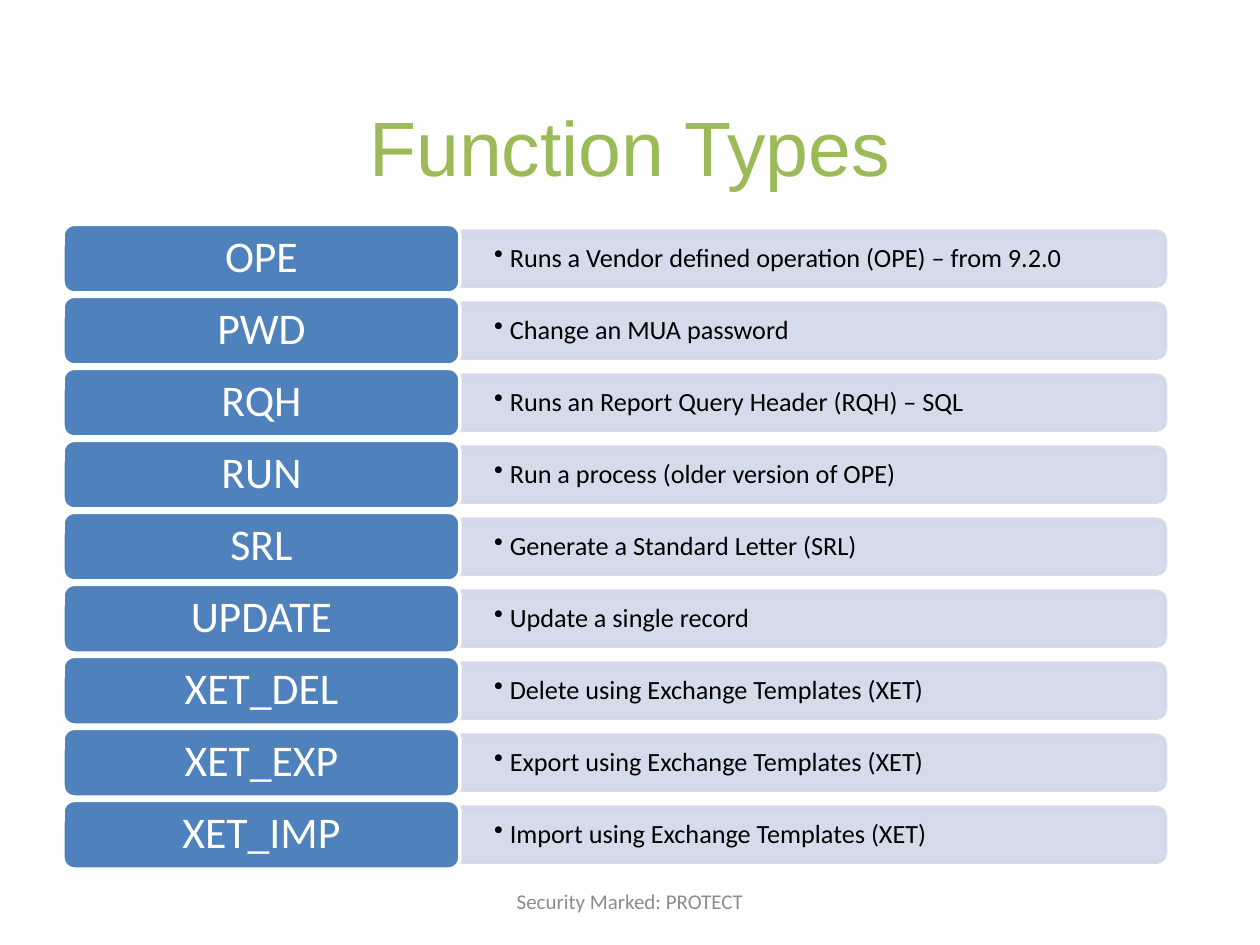
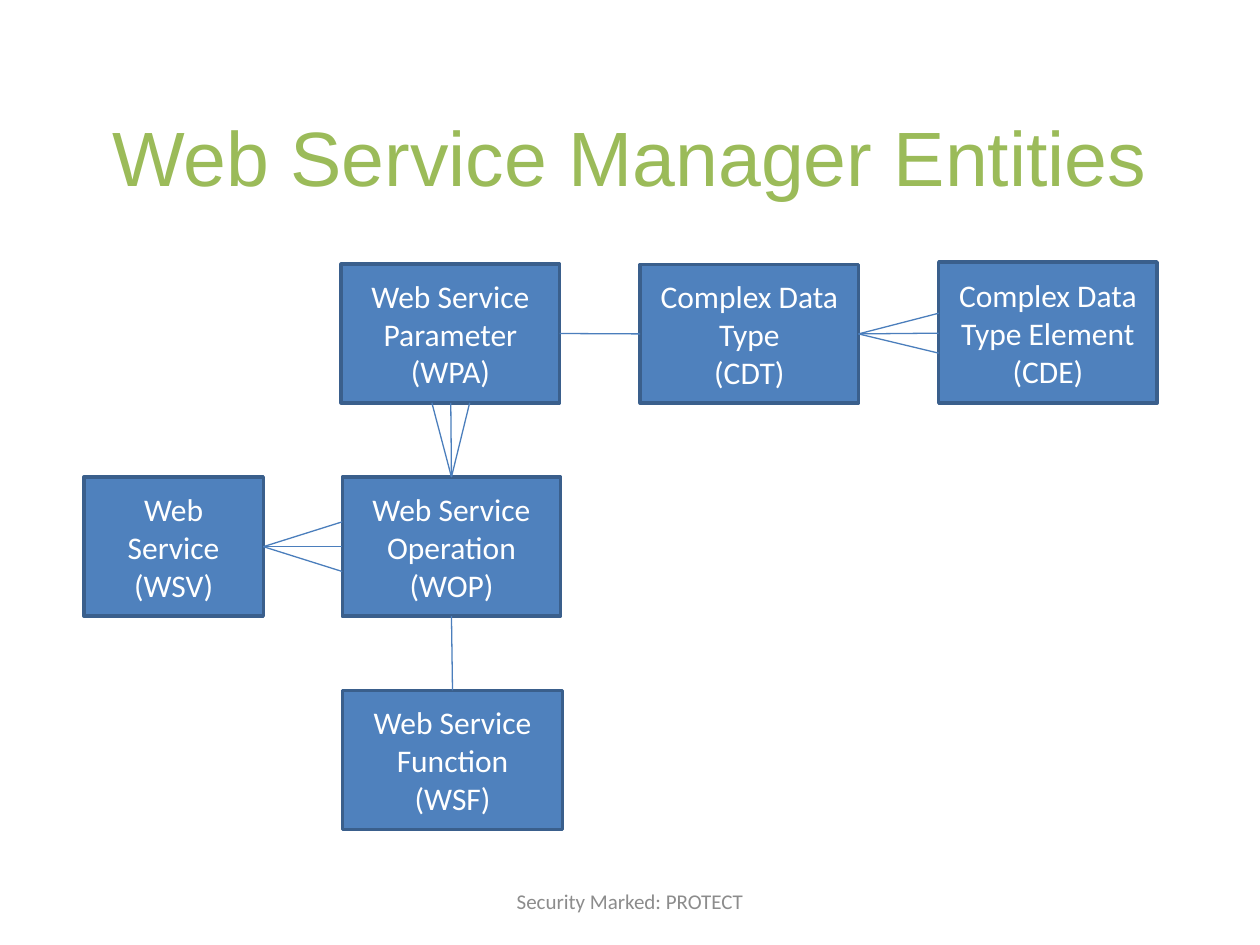
from dataclasses import dataclass

from pptx import Presentation
from pptx.dml.color import RGBColor
from pptx.enum.shapes import MSO_CONNECTOR, MSO_SHAPE
from pptx.enum.text import MSO_ANCHOR, PP_ALIGN
from pptx.oxml.ns import qn
from pptx.util import Pt
from lxml import etree

RECT = MSO_SHAPE.RECTANGLE
ROUNDED = MSO_SHAPE.ROUNDED_RECTANGLE
ROUNDED_TOP = MSO_SHAPE.ROUND_2_SAME_RECTANGLE
STRAIGHT = MSO_CONNECTOR.STRAIGHT
MIDDLE = MSO_ANCHOR.MIDDLE
LEFT, CENTER = PP_ALIGN.LEFT, PP_ALIGN.CENTER


@dataclass(frozen=True)
class Theme:
    title_font: str = "Arial"
    body_font: str = "Calibri"
    green: str = "9BBB59"
    blue: str = "4F81BD"
    edge: str = "3A5F8C"
    link: str = "4B7EBC"
    pale: str = "D0D8E8"
    white: str = "FFFFFF"
    black: str = "000000"
    grey: str = "8C8C8C"
    title_size: float = 44
    key_size: float = 25
    entity_size: float = 18
    detail_size: float = 15
    footer_size: float = 12


T = Theme()


def write(sp, text, size, color, font=T.body_font, align=CENTER,
          inset=(7.2, 3.6), spacing=None, bullet_indent=None):
    """Fill a shape with formatted text, one paragraph per line."""
    tf = sp.text_frame
    tf.word_wrap = True
    tf.vertical_anchor = MIDDLE
    tf.margin_left = tf.margin_right = Pt(inset[0])
    tf.margin_top = tf.margin_bottom = Pt(inset[1])
    for i, line in enumerate(text.split("\n")):
        p = tf.add_paragraph() if i else tf.paragraphs[0]
        p.alignment = align
        if spacing:
            p.line_spacing = spacing
        if bullet_indent:
            pPr = p._p.get_or_add_pPr()
            pPr.set("marL", str(Pt(bullet_indent)))
            pPr.set("indent", str(-Pt(bullet_indent)))
            etree.SubElement(pPr, qn("a:buChar")).set("char", "•")
        r = p.add_run()
        r.text = line
        r.font.name = font
        r.font.size = Pt(size)
        r.font.color.rgb = RGBColor.from_string(color)


def add_block(slide, kind, x, y, w, h, fill, line, opacity=None):
    """Add a filled and outlined shape, with opacity in percent."""
    sp = slide.shapes.add_shape(kind, Pt(x), Pt(y), Pt(w), Pt(h))
    sp.shadow.inherit = False
    sp.fill.solid()
    sp.fill.fore_color.rgb = RGBColor.from_string(fill)
    sp.line.color.rgb = RGBColor.from_string(line)
    sp.line.width = Pt(2)
    if opacity:
        for clr in sp._element.spPr.findall(".//" + qn("a:srgbClr")):
            etree.SubElement(clr, qn("a:alpha")).set("val", str(opacity * 1000))
    return sp


prs = Presentation()
prs.slide_width, prs.slide_height = Pt(720), Pt(540)

# Slides with their shared title and footer
slides = []
for title, top in (("Function Types", 38.2), ("Web Service Manager Entities", 43.9)):
    slide = prs.slides.add_slide(prs.slide_layouts[5])
    sp = slide.shapes.title
    sp.left, sp.top, sp.width, sp.height = Pt(36), Pt(top), Pt(648), Pt(90)
    write(sp, title, T.title_size, T.green, font=T.title_font)
    footer = slide.shapes.add_textbox(Pt(246), Pt(500.5), Pt(228), Pt(28.75))
    write(footer, "Security Marked: PROTECT", T.footer_size, T.grey)
    slides.append(slide)
types_slide, entities_slide = slides

# Function types: a key and a detail bar on each row
FUNCTIONS = [
    ("OPE", "Runs a Vendor defined operation (OPE) – from 9.2.0"),
    ("PWD", "Change an MUA password"),
    ("RQH", "Runs an Report Query Header (RQH) – SQL"),
    ("RUN", "Run a process (older version of OPE)"),
    ("SRL", "Generate a Standard Letter (SRL)"),
    ("UPDATE", "Update a single record"),
    ("XET_DEL", "Delete using Exchange Templates (XET)"),
    ("XET_EXP", "Export using Exchange Templates (XET)"),
    ("XET_IMP", "Import using Exchange Templates (XET)"),
]
FIRST_MIDDLE, ROW_PITCH = 147.8, 41.15
KEY_X, KEY_W, KEY_H = 36, 226.8, 39.2
BAR_X, BAR_W, BAR_H = KEY_X + KEY_W, 403.2, 31.4

for row, (key, detail) in enumerate(FUNCTIONS):
    middle = FIRST_MIDDLE + row * ROW_PITCH
    # The bar is a tall shape turned so that its round end faces right
    bar = add_block(types_slide, ROUNDED_TOP, BAR_X + (BAR_W - BAR_H) / 2,
                    middle - BAR_W / 2, BAR_H, BAR_W, T.pale, T.pale, opacity=90)
    bar.rotation = 90
    label = types_slide.shapes.add_textbox(Pt(BAR_X), Pt(middle - 14.2), Pt(401.7), Pt(28.4))
    write(label, detail, T.detail_size, T.black, align=LEFT,
          inset=(19.5, 9.75), spacing=0.9, bullet_indent=9)
    sp = add_block(types_slide, ROUNDED, KEY_X, middle - KEY_H / 2, KEY_W, KEY_H,
                   T.blue, T.white)
    write(sp, key, T.key_size, T.white, spacing=0.9)

# Entities: left, top, width, height
ENTITIES = [
    ("Web Service\n(WSV)", 48, 272.6, 102.5, 79.5),
    ("Web Service Operation\n(WOP)", 195.6, 272.6, 124.8, 79.5),
    ("Web Service Function\n(WSF)", 195.6, 394.5, 126, 79.5),
    ("Web Service Parameter\n(WPA)", 195, 151, 124.8, 79.2),
    ("Complex Data Type\n(CDT)", 365.8, 151.2, 124.8, 79.2),
    ("Complex Data Type Element\n(CDE)", 536.4, 149.7, 124.8, 80.7),
]
for name, x, y, w, h in ENTITIES:
    sp = add_block(entities_slide, RECT, x, y, w, h, T.blue, T.edge)
    write(sp, name, T.entity_size, T.white)

# Relations: start, end, and the spread of a three-line fan at the end
RELATIONS = [
    ((150.5, 312.4), (195.6, 312.4), (0, 14.2)),
    ((258, 352.1), (258.6, 394.5), None),
    ((258, 272.6), (257.6, 230.2), (10.8, 0)),
    ((319.8, 190.6), (365.8, 190.8), None),
    ((490.6, 190.8), (536.4, 190.4), (0, 11.4)),
]
for start, (x, y), spread in RELATIONS:
    dx, dy = spread or (0, 0)
    for side in (-1, 0, 1) if spread else (0,):
        line = entities_slide.shapes.add_connector(
            STRAIGHT, Pt(start[0]), Pt(start[1]), Pt(x + side * dx), Pt(y + side * dy))
        line.line.color.rgb = RGBColor.from_string(T.link)
        line.line.width = Pt(0.75)
        etree.SubElement(line._element.spPr, qn("a:effectLst"))

prs.save("out.pptx")
